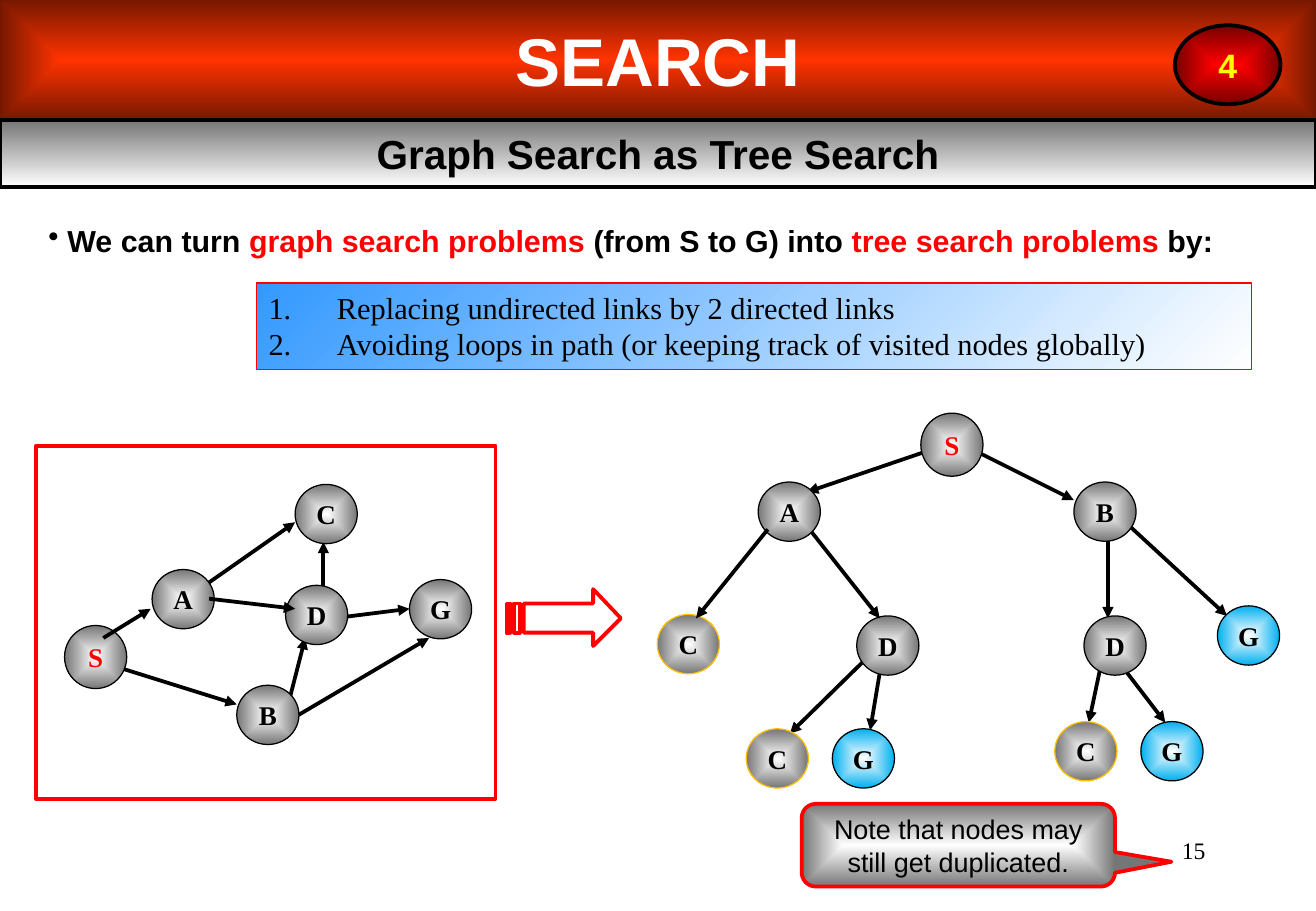
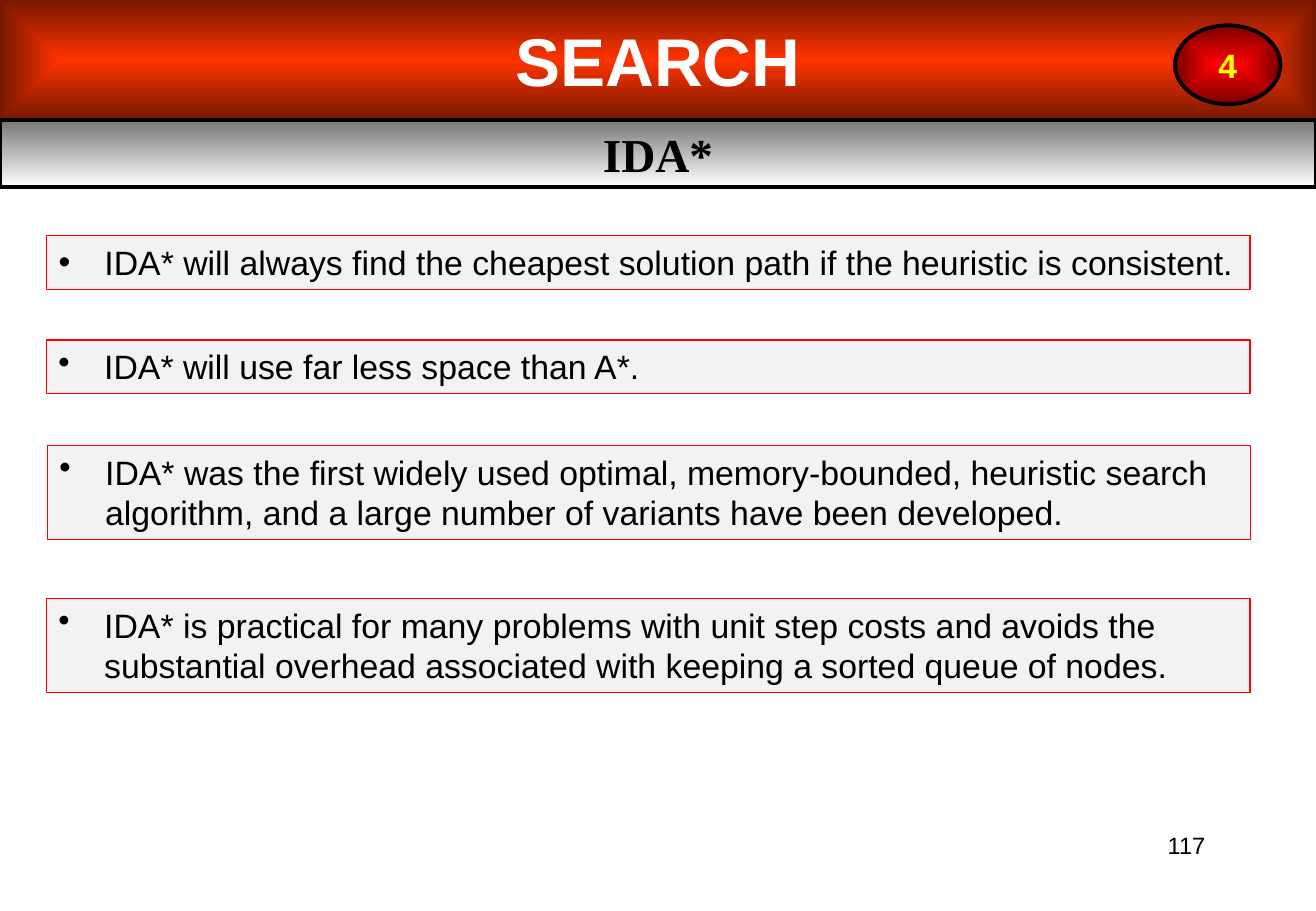
from dataclasses import dataclass

from lxml.etree import SubElement
from pptx import Presentation
from pptx.dml.color import RGBColor
from pptx.enum.shapes import MSO_CONNECTOR, MSO_SHAPE
from pptx.enum.text import MSO_ANCHOR, MSO_AUTO_SIZE, PP_ALIGN
from pptx.oxml.ns import qn
from pptx.util import Cm, Pt


# Theme
@dataclass(frozen=True)
class Theme:
    sans: str = "Arial"
    serif: str = "Times New Roman"
    black: str = "000000"
    white: str = "FFFFFF"
    red: str = "FF0000"
    wine: str = "760000"
    flame: str = "FF3300"
    rust: str = "761800"
    gray: str = "767676"
    pale: str = "F2F2F2"
    blue: str = "3399FF"
    sky: str = "00B0F0"
    gold: str = "FFC000"
    yellow: str = "FFFF00"
    banner: int = 40
    title: int = 24
    large: int = 28
    text: int = 20
    lead: int = 18
    label: int = 16
    page: int = 14
    thin: float = 0.75
    thick: float = 2.25


T = Theme()
WIDE, HIGH = 27.51, 19.05

# Nodes: label, left, top; the tree marks goals and dead ends
GRAPH = [("C", 6.17, 10.13), ("A", 3.18, 11.91), ("D", 5.97, 12.24),
         ("G", 8.56, 12.12), ("S", 1.35, 13.08), ("B", 4.95, 14.33)]
TREE = [("S", 19.25, 8.64), ("A", 15.85, 10.08), ("B", 22.45, 10.08),
        ("C", 13.74, 12.85), ("D", 17.91, 12.88), ("D", 22.66, 12.88),
        ("G", 25.45, 12.67), ("C", 15.6, 15.24), ("G", 17.4, 15.24),
        ("C", 22.05, 15.09), ("G", 23.85, 15.09)]

# Arrows: start x, y, end x, y
UNDER = [(6.76, 12.73, 6.76, 11.33), (4.17, 12.32, 6.17, 10.92),
         (6.96, 12.93, 8.56, 12.73), (2.36, 13.92, 4.95, 14.73),
         (5.97, 14.94, 6.38, 13.34), (5.97, 15.11, 8.97, 13.34),
         (19.86, 9.27, 16.87, 10.29), (20.07, 9.27, 22.45, 10.46),
         (18.39, 14.07, 18.19, 15.27), (18.11, 13.77, 16.51, 15.34),
         (23.27, 13.69, 24.36, 15.11), (23.06, 13.69, 22.76, 15.11),
         (23.16, 11.07, 23.16, 12.93), (23.47, 10.87, 25.65, 12.88)]
OVER = [(4.37, 12.52, 6.17, 12.73), (2.16, 13.34, 3.15, 12.73),
        (16.05, 11.07, 14.55, 12.93), (16.97, 11.13, 18.39, 12.93)]

FACTS = [
    (0.97, 4.93, 1.12, "IDA* will always find the cheapest solution path if the "
     "heuristic is consistent."),
    (0.97, 7.11, 1.12, "IDA* will use far less space than A*."),
    (0.99, 9.32, 1.96, "IDA* was the first widely used optimal, memory-bounded, "
     "heuristic search algorithm, and a large number of variants have been developed."),
    (0.97, 12.52, 1.96, "IDA* is practical for many problems with unit step costs and "
     "avoids the substantial overhead associated with keeping a sorted queue of nodes."),
]


# Basic helpers
def rgb(code):
    return RGBColor.from_string(code)


def place(shape, x, y, w, h):
    shape.left, shape.top, shape.width, shape.height = map(Cm, (x, y, w, h))


def edge(shape, color=None, width=T.thin):
    if color is None:
        shape.line.fill.background()
    else:
        shape.line.color.rgb = rgb(color)
        shape.line.width = Pt(width)


def solid(shape, color):
    shape.fill.solid()
    shape.fill.fore_color.rgb = rgb(color)


def blend(shape, first, last, angle=None):
    """Linear gradient at an angle, or from the centre outwards."""
    shape.fill.gradient()
    for stop, color in zip(shape.fill.gradient_stops, (first, last)):
        stop.color.rgb = rgb(color)
    if angle is not None:
        shape.fill.gradient_angle = angle
        return
    grad = shape.element.spPr.find(qn("a:gradFill"))
    grad.remove(grad.find(qn("a:lin")))
    focus = SubElement(grad, qn("a:path"), path="shape")
    SubElement(focus, qn("a:fillToRect"), dict.fromkeys("ltrb", "50000"))


def style(font, size, color=T.black, face=T.sans, bold=False):
    font.size, font.name, font.bold = Pt(size), face, bold
    font.color.rgb = rgb(color)


def write(shape, text, size, align=PP_ALIGN.LEFT, anchor=MSO_ANCHOR.TOP, **look):
    frame = shape.text_frame
    frame.text = text
    frame.word_wrap = True
    frame.auto_size = MSO_AUTO_SIZE.NONE
    frame.vertical_anchor = anchor
    for para in frame.paragraphs:
        para.alignment = align
        para.space_before = Pt(0)
        for run in para.runs:
            style(run.font, size, **look)
    return frame


def center(shape, text, size, **look):
    return write(shape, text, size, PP_ALIGN.CENTER, MSO_ANCHOR.MIDDLE, **look)


def bullet(para, indent, hang, tag="buChar", **mark):
    props = para._p.get_or_add_pPr()
    props.set("marL", str(Cm(indent)))
    props.set("indent", str(-Cm(hang)))
    SubElement(props, qn("a:" + tag), mark)


# Kinds of element
def draw(slide, kind, x, y, w, h):
    shape = slide.shapes.add_shape(kind, *map(Cm, (x, y, w, h)))
    shape.shadow.inherit = False
    return shape


def label(slide, x, y, w, h):
    return slide.shapes.add_textbox(*map(Cm, (x, y, w, h)))


def arrow(slide, *ends):
    line = slide.shapes.add_connector(MSO_CONNECTOR.STRAIGHT, *map(Cm, ends))
    edge(line, T.black, T.thick)
    props = line.element.spPr
    SubElement(props.find(qn("a:ln")), qn("a:tailEnd"), type="triangle")
    SubElement(props, qn("a:effectLst"))


def node(slide, name, x, y, fill=T.gray, ring=T.black):
    root = name == "S"
    disc = draw(slide, MSO_SHAPE.OVAL, x, y, 1.3, 1.32 if root else 1.24)
    blend(disc, T.white, fill)
    edge(disc, ring)
    frame = center(disc, name, T.label, face=T.serif, bold=True,
                   color=T.red if root else T.black)
    frame.word_wrap = False
    frame.margin_left = frame.margin_right = 0
    frame.margin_top = frame.margin_bottom = 0


def striped(slide):
    """Block arrow with two stripes at its tail."""
    top, low = 12.62, 13.23
    head = [(12.4, 12.32), (12.4, top), (10.95, top), (10.95, low),
            (12.4, low), (12.4, 13.51), (12.98, 12.93)]
    bars = [[(a, top), (a, low), (b, low), (b, top)]
            for a, b in ((10.74, 10.87), (10.59, 10.67))]
    build = None
    for part in (head, *bars):
        first, *rest = [(Cm(x), Cm(y)) for x, y in part]
        if build is None:
            build = slide.shapes.build_freeform(*first)
        else:
            build.move_to(*first)
        build.add_line_segments(rest, close=True)
    shape = build.convert_to_shape()
    shape.shadow.inherit = False
    shape.fill.background()
    edge(shape, T.red, T.thick)


# Shared frame of each slide
def start(deck, title, size, face, page, drop):
    slide = deck.slides.add_slide(deck.slide_layouts[1])
    bar = slide.shapes.title
    place(bar, 0, 2.51, WIDE, 1.4)
    blend(bar, T.gray, T.white, 270)
    edge(bar, T.black, T.thick)
    center(bar, title, size, face=face, bold=True)

    band = draw(slide, MSO_SHAPE.RECTANGLE, 0, 0, WIDE, 2.51)
    blend(band, T.flame, T.rust)
    edge(band)
    center(band, "SEARCH", T.banner, color=T.white, bold=True)
    bar.element.addprevious(band.element)

    badge = draw(slide, MSO_SHAPE.OVAL, 24.56, 0.53, 2.21, 1.65)
    blend(badge, T.red, T.wine)
    edge(badge, T.black, T.thick)
    center(badge, "4", T.text, color=T.yellow, bold=True).word_wrap = False

    write(label(slide, 19.71, drop, 5.74, 1.27), page, T.page,
          PP_ALIGN.RIGHT, face=face)
    return slide


# Slides
def graph(deck):
    slide = start(deck, "Graph Search as Tree Search", T.title, T.sans, "15", 17.35)
    slide.shapes[-1].text_frame.paragraphs[0].runs[0].font.name = T.serif

    # Lead sentence and numbered steps
    lead = label(slide, 0.76, 4.52, 26.75, 1.02)
    lead.text_frame.word_wrap = True
    para = lead.text_frame.paragraphs[0]
    bullet(para, 0.4, 0.4, char="•")
    parts = ["We can turn ", "graph search problems ", "(from S to G) into ",
             "tree search problems ", "by:"]
    for i, part in enumerate(parts):
        run = para.add_run()
        run.text = part
        style(run.font, T.lead, T.red if i % 2 else T.black, bold=True)

    steps = slide.placeholders[1]
    place(steps, 5.36, 5.92, 20.8, 1.8)
    blend(steps, T.blue, T.white, 315)
    edge(steps, T.red)
    frame = write(steps, "Replacing undirected links by 2 directed links\n"
                  "Avoiding loops in path (or keeping track of visited nodes globally)",
                  T.lead, face=T.serif)
    for para in frame.paragraphs:
        bullet(para, 1.43, 1.43, "buAutoNum", type="arabicPeriod")

    # Graph and search tree
    pane = draw(slide, MSO_SHAPE.RECTANGLE, 0.76, 9.32, 9.6, 7.39)
    pane.fill.background()
    edge(pane, T.red, T.thick)
    for ends in UNDER:
        arrow(slide, *ends)
    for spot in GRAPH:
        node(slide, *spot)
    for name, x, y in TREE:
        node(slide, name, x, y, T.sky if name == "G" else T.gray,
             T.gold if name == "C" else T.black)
    for ends in OVER:
        arrow(slide, *ends)
    striped(slide)

    # Remark
    note = draw(slide, MSO_SHAPE.ROUNDED_RECTANGULAR_CALLOUT, 16.76, 16.81, 6.55, 1.73)
    for i, value in enumerate((0.68, 0.2, 0.17)):
        note.adjustments[i] = value
    blend(note, T.white, T.gray)
    edge(note, T.red, T.thick)
    center(note, "Note that nodes may still get duplicated.", T.label)


def facts(deck):
    slide = start(deck, "IDA*", T.large, T.serif, "117", 17.25)
    slide.shapes[-1].text_frame.paragraphs[0].runs[0].font.name = T.sans
    for i, (x, y, h, text) in enumerate(FACTS):
        area = (x, y, 25.16, h)
        box = label(slide, *area) if i else slide.placeholders[1]
        place(box, *area)
        solid(box, T.pale)
        edge(box, T.red)
        bullet(write(box, text, T.text).paragraphs[0], 0.96, 0.96, char="•")


def main():
    deck = Presentation()
    deck.slide_width, deck.slide_height = Cm(WIDE), Cm(HIGH)
    graph(deck)
    facts(deck)
    deck.save("out.pptx")


if __name__ == "__main__":
    main()
